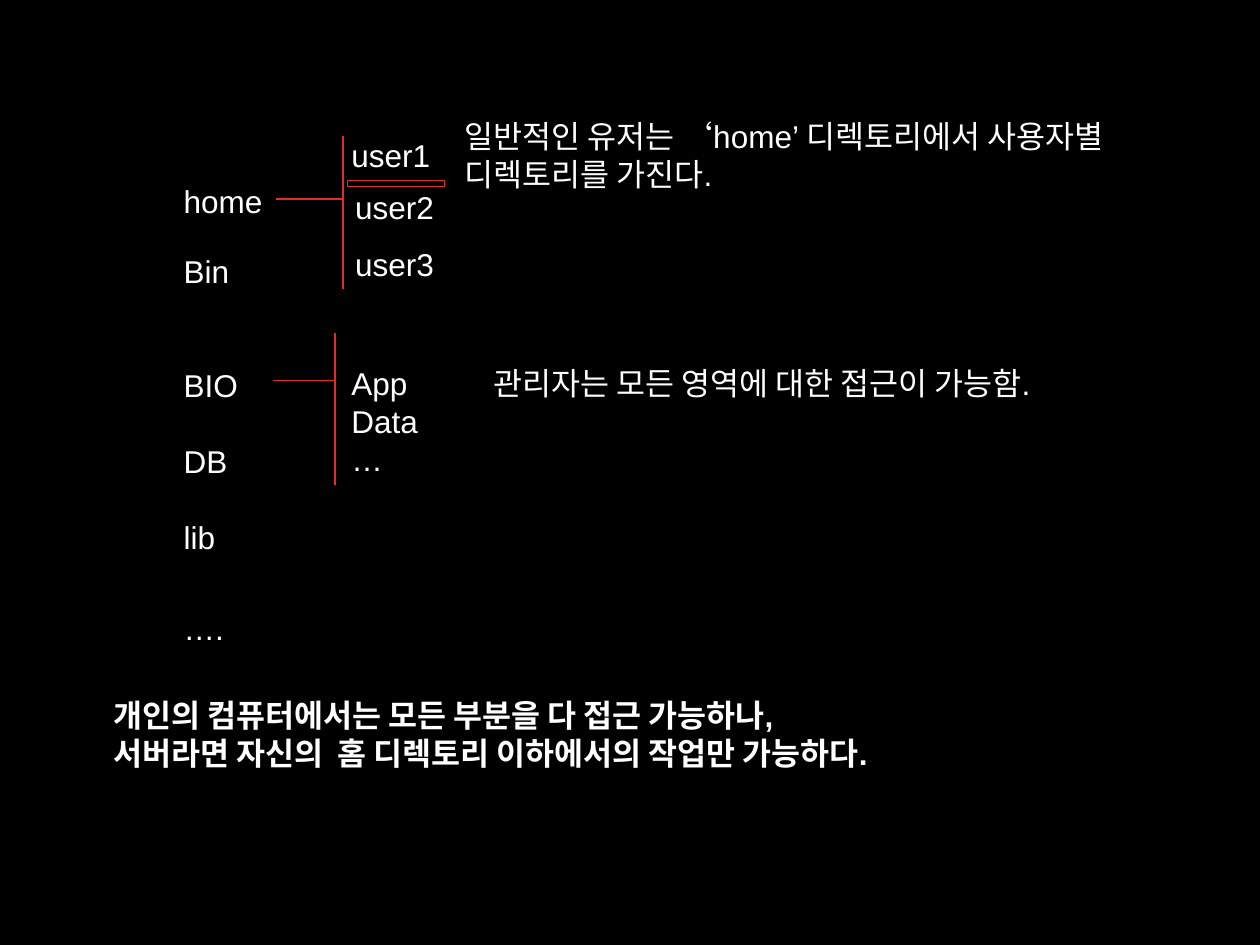
from dataclasses import dataclass

from lxml import etree
from pptx import Presentation
from pptx.dml.color import RGBColor
from pptx.enum.shapes import MSO_CONNECTOR, MSO_SHAPE
from pptx.oxml.ns import qn
from pptx.util import Inches, Pt

STRAIGHT = MSO_CONNECTOR.STRAIGHT
RECT = MSO_SHAPE.RECTANGLE


@dataclass(frozen=True)
class Theme:
    back: RGBColor = RGBColor(0, 0, 0)
    ink: RGBColor = RGBColor(255, 255, 255)
    rule: RGBColor = RGBColor(0xDF, 0x2E, 0x28)
    font: str = "Arial"
    size: Pt = Pt(18)
    lead: Pt = Pt(21.7)
    line: Pt = Pt(1)
    thin: Pt = Pt(0.75)


THEME = Theme()


def add_text(slide, left, top, width, height, lines, bold=False, gaps=None):
    box = slide.shapes.add_textbox(
        Inches(left), Inches(top), Inches(width), Inches(height))
    frame = box.text_frame
    frame.word_wrap = False
    for i, line in enumerate(lines):
        para = frame.paragraphs[0] if i == 0 else frame.add_paragraph()
        para.text = line
        para.line_spacing = THEME.lead
        if gaps:
            para.space_before = gaps[i] * THEME.lead
        font = para.font
        font.name = THEME.font
        font.size = THEME.size
        font.color.rgb = THEME.ink
        font.bold = bold


def add_rule(slide, x1, y1, x2, y2):
    rule = slide.shapes.add_connector(
        STRAIGHT, Inches(x1), Inches(y1), Inches(x2), Inches(y2))
    rule.line.color.rgb = THEME.rule
    rule.line.width = THEME.line
    etree.SubElement(rule._element.spPr, qn("a:effectLst"))


def add_branch(slide, left, top, stem, joint):
    add_rule(slide, left, top + joint, left + stem, top + joint)
    add_rule(slide, left + stem, top, left + stem, top + 1.21)


def add_roots(slide, left, top):
    add_text(slide, left, top, 0.83, 0.4, ["home"])
    add_text(slide, left, top + 0.56, 0.64, 2.83,
             ["Bin", "BIO", "DB", "lib"], gaps=[0, 2, 1, 1])
    add_text(slide, left, top + 3.39, 0.69, 0.4, ["…."])


def add_users(slide, left, top):
    add_branch(slide, left, top + 0.05, 0.53, 0.5)
    users = [("user1", 0.5, 0), ("user2", 0.53, 0.41), ("user3", 0.53, 0.86)]
    for name, dx, dy in users:
        add_text(slide, left + dx, top + dy, 0.83, 0.4, [name])
    mark = slide.shapes.add_shape(
        RECT, Inches(left + 0.57), Inches(top + 0.4), Inches(0.77), Inches(0.05))
    mark.shadow.inherit = False
    mark.fill.background()
    mark.line.color.rgb = THEME.rule
    mark.line.width = THEME.thin


def add_admin(slide, left, top):
    add_branch(slide, left, top, 0.49, 0.38)
    add_text(slide, left + 0.52, top + 0.2, 0.75, 1.01, ["App", "Data", "…"])


def add_notes(slide, left, top):
    add_text(slide, left + 2.79, top, 5.51, 0.71,
             ["일반적인 유저는 ‘home’ 디렉토리에서 사용자별", "디렉토리를 가진다."])
    add_text(slide, left + 3.02, top + 1.96, 4.98, 0.4,
             ["관리자는 모든 영역에 대한 접근이 가능함."])
    add_text(slide, left, top + 4.59, 6.89, 0.71,
             ["개인의 컴퓨터에서는 모든 부분을 다 접근 가능하나,",
              "서버라면 자신의  홈 디렉토리 이하에서의 작업만 가능하다."], bold=True)


def main():
    deck = Presentation()
    deck.slide_width = Inches(10)
    deck.slide_height = Inches(7.5)
    slide = deck.slides.add_slide(deck.slide_layouts[6])
    fill = slide.background.fill
    fill.solid()
    fill.fore_color.rgb = THEME.back
    add_roots(slide, 1.36, 1.39)
    add_users(slide, 2.19, 1.03)
    add_admin(slide, 2.17, 2.64)
    add_notes(slide, 0.8, 0.88)
    deck.save("out.pptx")


if __name__ == "__main__":
    main()
